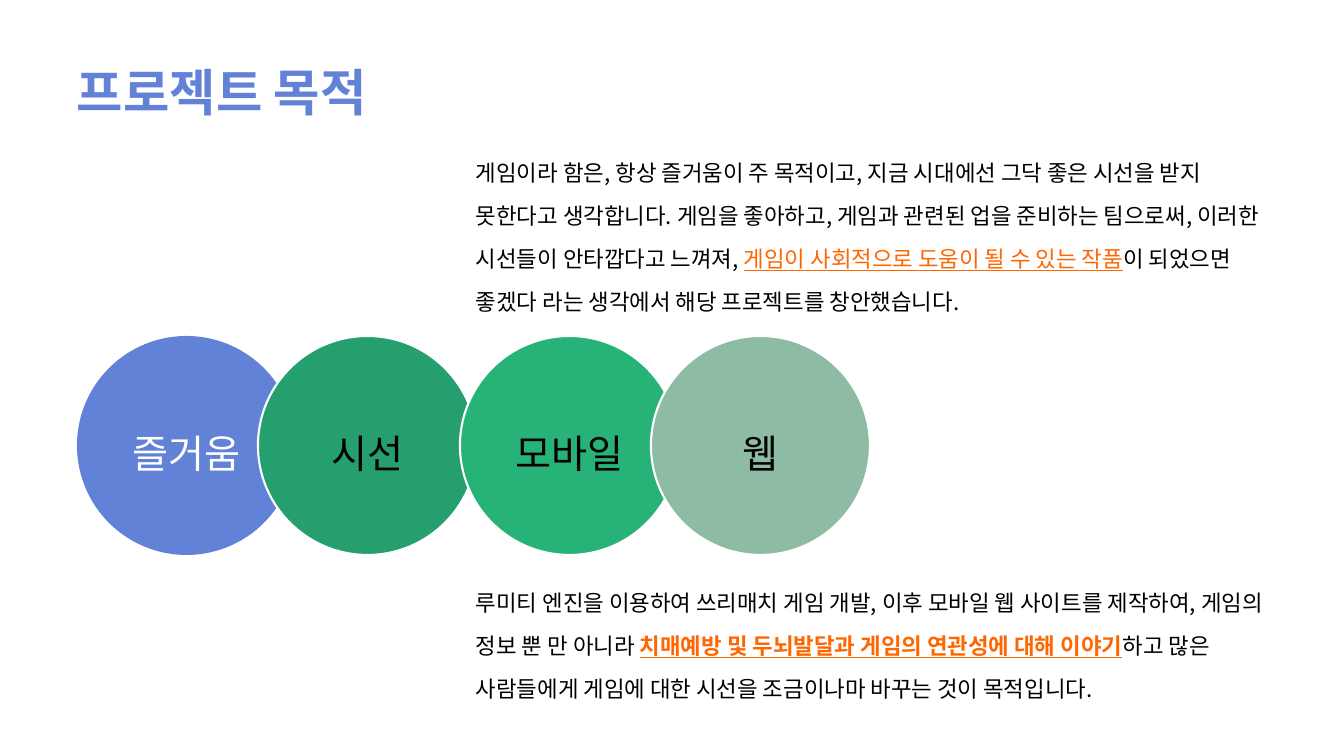
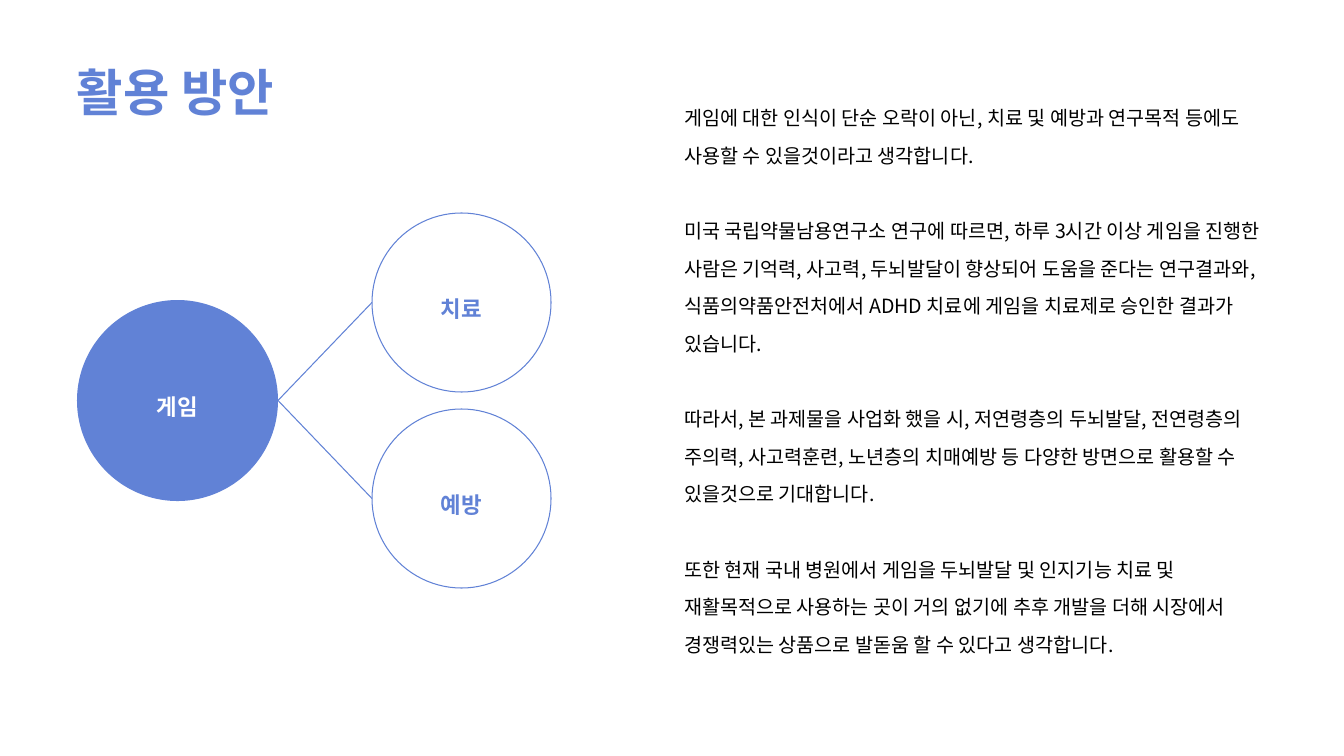
from lxml.etree import SubElement
from pptx import Presentation
from pptx.dml.color import RGBColor
from pptx.enum.shapes import MSO_CONNECTOR, MSO_SHAPE
from pptx.enum.text import MSO_ANCHOR, MSO_AUTO_SIZE, PP_ALIGN
from pptx.oxml.ns import qn
from pptx.util import Emu, Pt

PX = 12192000 / 1344
FONT = "Noto Sans CJK KR"

BLUE = RGBColor(0x61, 0x82, 0xD6)
DEEP_GREEN = RGBColor(0x26, 0x9F, 0x6E)
GREEN = RGBColor(0x27, 0xB3, 0x78)
SAGE = RGBColor(0x8E, 0xBB, 0xA3)
ORANGE = RGBColor(0xFF, 0x66, 0x00)
BLACK = RGBColor(0, 0, 0)
WHITE = RGBColor(0xFF, 0xFF, 0xFF)

TITLE = {"size": Pt(36), "bold": True}
KEYWORD = {"size": Pt(28), "bold": False}
NODE = {"size": Pt(16), "bold": True}
EMPHASIS = {"underline": True}
STRONG = {"underline": True, "bold": True}

LEFT = 77
LINE_RATIO = 1.92

KEYWORDS = [
    ("즐거움", 77, BLUE, WHITE),
    ("시선", 258, DEEP_GREEN, BLACK),
    ("모바일", 460, GREEN, BLACK),
    ("웹", 651, SAGE, BLACK),
]
MOTIVE = [
    ("게임이라 함은, 항상 즐거움이 주 목적이고, 지금 시대에선 그닥 좋은 시선을 받지 "
     "못한다고 생각합니다. 게임을 좋아하고, 게임과 관련된 업을 준비하는 팀으로써, "
     "이러한 시선들이 안타깝다고 느껴져, ", BLACK, {}),
    ("게임이 사회적으로 도움이 될 수 있는 작품", ORANGE, EMPHASIS),
    ("이 되었으면 좋겠다 라는 생각에서 해당 프로젝트를 창안했습니다.", BLACK, {}),
]
GOAL = [
    ("루미티 엔진을 이용하여 쓰리매치 게임 개발, 이후 모바일 웹 사이트를 제작하여, "
     "게임의 정보 뿐 만 아니라 ", BLACK, {}),
    ("치매예방 및 두뇌발달과 게임의 연관성에 대해 이야기", ORANGE, STRONG),
    ("하고 많은 사람들에게 게임에 대한 시선을 조금이나마 바꾸는 것이 목적입니다.", BLACK, {}),
]
USES = [
    "게임에 대한 인식이 단순 오락이 아닌, 치료 및 예방과 연구목적 등에도 사용할 수 "
    "있을것이라고 생각합니다.",
    "미국 국립약물남용연구소 연구에 따르면, 하루 3시간 이상 게임을 진행한 사람은 "
    "기억력, 사고력, 두뇌발달이 향상되어 도움을 준다는 연구결과와, 식품의약품안전처에서 "
    "ADHD 치료에 게임을 치료제로 승인한 결과가 있습니다.",
    "따라서, 본 과제물을 사업화 했을 시, 저연령층의 두뇌발달, 전연령층의 주의력, "
    "사고력훈련, 노년층의 치매예방 등 다양한 방면으로 활용할 수 있을것으로 기대합니다.",
    "또한 현재 국내 병원에서 게임을 두뇌발달 및 인지기능 치료 및 재활목적으로 사용하는 "
    "곳이 거의 없기에 추후 개발을 더해 시장에서 경쟁력있는 상품으로 발돋움 할 수 있다고 "
    "생각합니다.",
]


def px(length):
    return Emu(round(length * PX))


def apply(target, values):
    for name, value in values.items():
        setattr(target, name, value)


def add_run(paragraph, text, color, style):
    run = paragraph.add_run()
    run.text = text
    apply(run.font, {"name": FONT, **style})
    run.font.color.rgb = color
    SubElement(run.font._element, qn("a:ea"), typeface=FONT)


def set_frame(frame, anchor, top=0):
    """Wrap the text, fix its size and clear all insets but the top one."""
    apply(frame, {
        "word_wrap": True, "auto_size": MSO_AUTO_SIZE.NONE,
        "vertical_anchor": anchor, "margin_left": 0, "margin_right": 0,
        "margin_top": px(top), "margin_bottom": 0,
    })


def add_titled_slide(deck, text):
    slide = deck.slides.add_slide(deck.slide_layouts[5])
    title = slide.shapes.title
    apply(title, {"left": px(LEFT), "top": px(60), "width": px(1190), "height": px(62)})
    set_frame(title.text_frame, MSO_ANCHOR.MIDDLE)
    heading = title.text_frame.paragraphs[0]
    heading.alignment = PP_ALIGN.LEFT
    add_run(heading, text, BLUE, TITLE)
    return slide


def add_circle(slide, text, left, top, diameter, fill, color, style, outline=None, drop=0):
    """Draw a labelled circle; drop moves the label below the centre."""
    circle = slide.shapes.add_shape(
        MSO_SHAPE.OVAL, px(left), px(top), px(diameter), px(diameter))
    circle.shadow.inherit = False
    circle.fill.solid()
    circle.fill.fore_color.rgb = fill
    if outline:
        line_color, width = outline
        circle.line.color.rgb = line_color
        circle.line.width = Pt(width)
    else:
        circle.line.fill.background()
    set_frame(circle.text_frame, MSO_ANCHOR.MIDDLE, 2 * drop)
    label = circle.text_frame.paragraphs[0]
    label.alignment = PP_ALIGN.CENTER
    add_run(label, text, color, style)


def add_body(slide, left, top, width, height, size, paragraphs):
    """Add paragraphs of (text, colour, style) runs, one empty line apart."""
    frame = slide.shapes.add_textbox(px(left), px(top), px(width), px(height)).text_frame
    set_frame(frame, MSO_ANCHOR.TOP)
    pitch = Pt(size * LINE_RATIO)
    for index, runs in enumerate(paragraphs):
        paragraph = frame.add_paragraph() if index else frame.paragraphs[0]
        apply(paragraph, {"line_spacing": pitch, "space_before": pitch if index else Pt(0)})
        for text, color, style in runs:
            add_run(paragraph, text, color, {"size": Pt(size), **style})


def add_link(slide, start, end):
    link = slide.shapes.add_connector(
        MSO_CONNECTOR.STRAIGHT, *(px(value) for value in (*start, *end)))
    link.line.color.rgb = BLUE
    link.line.width = Pt(0.75)
    SubElement(link._element.spPr, qn("a:effectLst"))


def build_purpose(deck):
    slide = add_titled_slide(deck, "프로젝트 목적")
    for text, left, fill, color in KEYWORDS:
        outline = None if fill == BLUE else (WHITE, 1.5)
        add_circle(slide, text, left, 336, 219, fill, color, KEYWORD, outline, drop=7)
    for top, height, runs in ((143, 172, MOTIVE), (573, 129, GOAL)):
        add_body(slide, 476, top, 791, height, 16, [runs])


def build_uses(deck):
    slide = add_titled_slide(deck, "활용 방안")
    hub_top, hub_size, branch_left, branch_size = 300, 201, 372, 179
    add_circle(slide, "게임", LEFT, hub_top, hub_size, BLUE, WHITE, NODE, drop=6)
    hub_edge = (LEFT + hub_size, hub_top + hub_size / 2)
    for text, top in (("치료", 213), ("예방", 409)):
        add_circle(slide, text, branch_left, top, branch_size, WHITE, BLUE, NODE,
                   (BLUE, 0.75), drop=6)
        add_link(slide, hub_edge, (branch_left, top + branch_size / 2))
    add_body(slide, 684, 92, 580, 565, 14, [[(text, BLACK, {})] for text in USES])


def main():
    deck = Presentation()
    apply(deck, {"slide_width": px(1344), "slide_height": px(756)})
    build_purpose(deck)
    build_uses(deck)
    deck.save("out.pptx")


if __name__ == "__main__":
    main()
